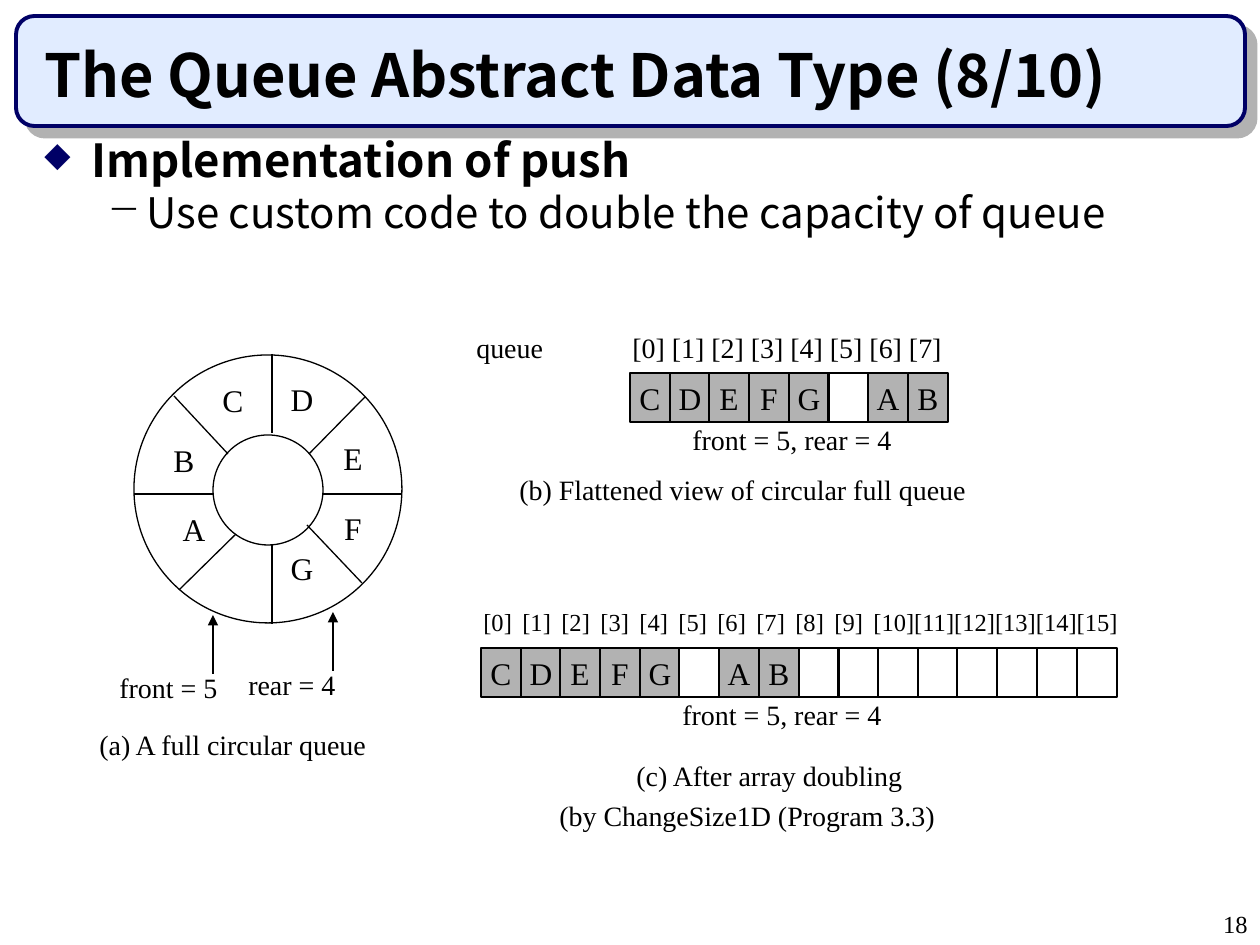
from lxml import etree
from pptx import Presentation
from pptx import util as u
from pptx.dml.color import RGBColor
from pptx.enum import shapes, text
from pptx.oxml import ns

PX = 7257  # EMU per px, 126 px to the inch
COLORS = {"ink": "000000", "navy": "000066", "banner": "E1ECFF", "gray": "B2B2B2"}
RGB = {name: RGBColor.from_string(value) for name, value in COLORS.items()}
SERIF, SANS = "Times New Roman", "Noto Sans CJK KR"
LEFT, CENTER, RIGHT = text.PP_ALIGN.LEFT, text.PP_ALIGN.CENTER, text.PP_ALIGN.RIGHT


def write(frame, words, size, align=LEFT, face=SERIF):
    """Fill a frame with one paragraph; centred text sits mid-box without margins."""
    frame.word_wrap = True
    if align == CENTER:
        frame.margin_left = frame.margin_right = 0
        frame.vertical_anchor = text.MSO_ANCHOR.MIDDLE
    paragraph = frame.paragraphs[0]
    paragraph.text = words
    paragraph.alignment = align
    paragraph.font.size = u.Pt(size)
    paragraph.font.name = face
    paragraph.font.color.rgb = RGB["ink"]
    return paragraph


def add_line(x1, y1, x2, y2):
    line = slide.shapes.add_connector(
        shapes.MSO_CONNECTOR.STRAIGHT, x1 * PX, y1 * PX, x2 * PX, y2 * PX)
    line.line.color.rgb = RGB["ink"]
    line.line.width = u.Pt(0.75)
    etree.SubElement(line._element.spPr, ns.qn("a:effectLst"))
    return line


prs = Presentation()
prs.slide_width, prs.slide_height = u.Inches(10), u.Inches(7.5)
slide = prs.slides.add_slide(prs.slide_layouts[6])

# Title banner
banner = slide.shapes.add_shape(
    shapes.MSO_SHAPE.ROUNDED_RECTANGLE, 16 * PX, 16 * PX, 1229 * PX, 110 * PX)
banner.fill.solid()
banner.fill.fore_color.rgb = RGB["banner"]
banner.line.color.rgb = RGB["navy"]
banner.line.width = u.Pt(2.25)
banner.shadow.inherit = False
shadow = etree.SubElement(
    banner._element.spPr.find(ns.qn("a:effectLst")), ns.qn("a:outerShdw"),
    dist=str(u.Pt(8.5)), dir="2700000", algn="ctr", rotWithShape="0")
etree.SubElement(shadow, ns.qn("a:srgbClr"), val=COLORS["gray"])

title = slide.shapes.add_textbox(32 * PX, 32 * PX, 1187 * PX, 84 * PX).text_frame
title.vertical_anchor = text.MSO_ANCHOR.BOTTOM
write(title, "The Queue Abstract Data Type (8/10)", 34, face=SANS).font.bold = True

# Bulleted points: words, size, bold, indent, hanging, bullet, its colour and percent
points = [
    ("Implementation of push", 26, True, 47, 47, "◆", "navy", 75),
    ("Use custom code to double the capacity of queue", 24, False, 102, 39, "−", "ink", 100),
]
body = slide.shapes.add_textbox(32 * PX, 136 * PX, 1187 * PX, 108 * PX).text_frame
body.word_wrap = True
for level, (words, size, bold, indent, hanging, bullet, color, percent) in enumerate(points):
    point = body.add_paragraph() if level else body.paragraphs[0]
    point.text = words
    point.level = level
    props = point._p.get_or_add_pPr()
    props.set("marL", str(indent * PX))
    props.set("indent", str(-hanging * PX))
    bullet_color = etree.SubElement(props, ns.qn("a:buClr"))
    etree.SubElement(bullet_color, ns.qn("a:srgbClr"), val=COLORS[color])
    etree.SubElement(props, ns.qn("a:buSzPct"), val=str(percent * 1000))
    etree.SubElement(props, ns.qn("a:buChar"), char=bullet)
    point.line_spacing = 0.8
    if level:
        point.space_before = u.Pt(6)
    point.font.size = u.Pt(size)
    point.font.name = SANS
    point.font.bold = bold
    point.font.color.rgb = RGB["ink"]

# (a) Circular queue
for left, top, diameter in [(134, 355, 268), (213, 435, 110)]:
    ring = slide.shapes.add_shape(
        shapes.MSO_SHAPE.OVAL, left * PX, top * PX, diameter * PX, diameter * PX)
    ring.fill.background()
    ring.line.color.rgb = RGB["ink"]
    ring.line.width = u.Pt(0.75)
    ring.shadow.inherit = False

spokes = [
    (272, 354, 272, 433), (272, 544, 272, 624), (134, 494, 213, 494), (323, 494, 402, 494),
    (236, 534, 179, 590), (174, 396, 228, 454), (307, 525, 362, 583), (365, 397, 309, 454),
]
for spoke in spokes:
    add_line(*spoke)

ring_items = [("A", 174, 504), ("B", 164, 435), ("C", 213, 375), ("D", 282, 374),
              ("E", 333, 433), ("F", 333, 503), ("G", 282, 543)]
for item, left, top in ring_items:
    slot = slide.shapes.add_textbox(left * PX, top * PX, 40 * PX, 49 * PX)
    write(slot.text_frame, item, 18, CENTER)

for x, tip in [(213, 615), (333, 612)]:
    pointer = add_line(x, tip + 59, x, tip)
    etree.SubElement(pointer.line._get_or_add_ln(), ns.qn("a:tailEnd"), type="triangle")

# (b) Flattened queue and (c) doubled queue; a blank is a free cell
for left, top, queue in [(630, 373, "CDEFG AB"), (481, 648, "CDEFG AB".ljust(16))]:
    for i, item in enumerate(queue):
        cell = slide.shapes.add_shape(
            shapes.MSO_SHAPE.RECTANGLE,
            (left + round(i * 39.7)) * PX, top * PX, 40 * PX, 49 * PX)
        cell.line.color.rgb = RGB["ink"]
        cell.line.width = u.Pt(0.75)
        cell.shadow.inherit = False
        if item == " ":
            cell.fill.background()
        else:
            cell.fill.solid()
            cell.fill.fore_color.rgb = RGB["gray"]
            write(cell.text_frame, item, 18, CENTER)

# Labels and captions
labels = [
    ("front = 5", 107, 664, 140),
    ("rear = 4", 236, 661, 140),
    ("(a) A full circular queue", 87, 721, 389),
    ("queue", 464, 324, 140),
    (" ".join(f"[{i}]" for i in range(8)), 620, 324, 387),
    ("front = 5, rear = 4", 680, 416, 232),
    ("(b) Flattened view of circular full queue", 507, 466, 566),
    ("front = 5, rear = 4", 670, 691, 232),
]
for words, left, top, width in labels:
    label = slide.shapes.add_textbox(left * PX, top * PX, width * PX, 47 * PX)
    write(label.text_frame, words, 16)

caption = slide.shapes.add_textbox(547 * PX, 752 * PX, 501 * PX, 87 * PX).text_frame
first = write(caption, "(c) After array doubling", 16)
first._p.get_or_add_pPr().set("marL", str(77 * PX))
second = caption.add_paragraph()
second.text = "(by ChangeSize1D (Program 3.3)"
second.space_before = u.Pt(4)
second.font.size = u.Pt(16)
second.font.name = SERIF
second.font.color.rgb = RGB["ink"]

# Indices of the doubled queue: tabbed up to [10], then set solid
indices = slide.shapes.add_textbox(471 * PX, 601 * PX, 735 * PX, 43 * PX).text_frame
index_props = indices.paragraphs[0]._p.get_or_add_pPr()
tabs = etree.SubElement(index_props, ns.qn("a:tabLst"))
for i in range(1, 11):
    etree.SubElement(tabs, ns.qn("a:tab"), pos=str(i * 39 * PX), algn="l")
two_digit = "".join(f"[{i}]" for i in range(10, 16))
write(indices, "\t".join([f"[{i}]" for i in range(10)] + [two_digit]), 14)

page_number = slide.shapes.add_textbox(998 * PX, 903 * PX, 262 * PX, 42 * PX)
write(page_number.text_frame, "18", 14, RIGHT)

prs.save("out.pptx")
